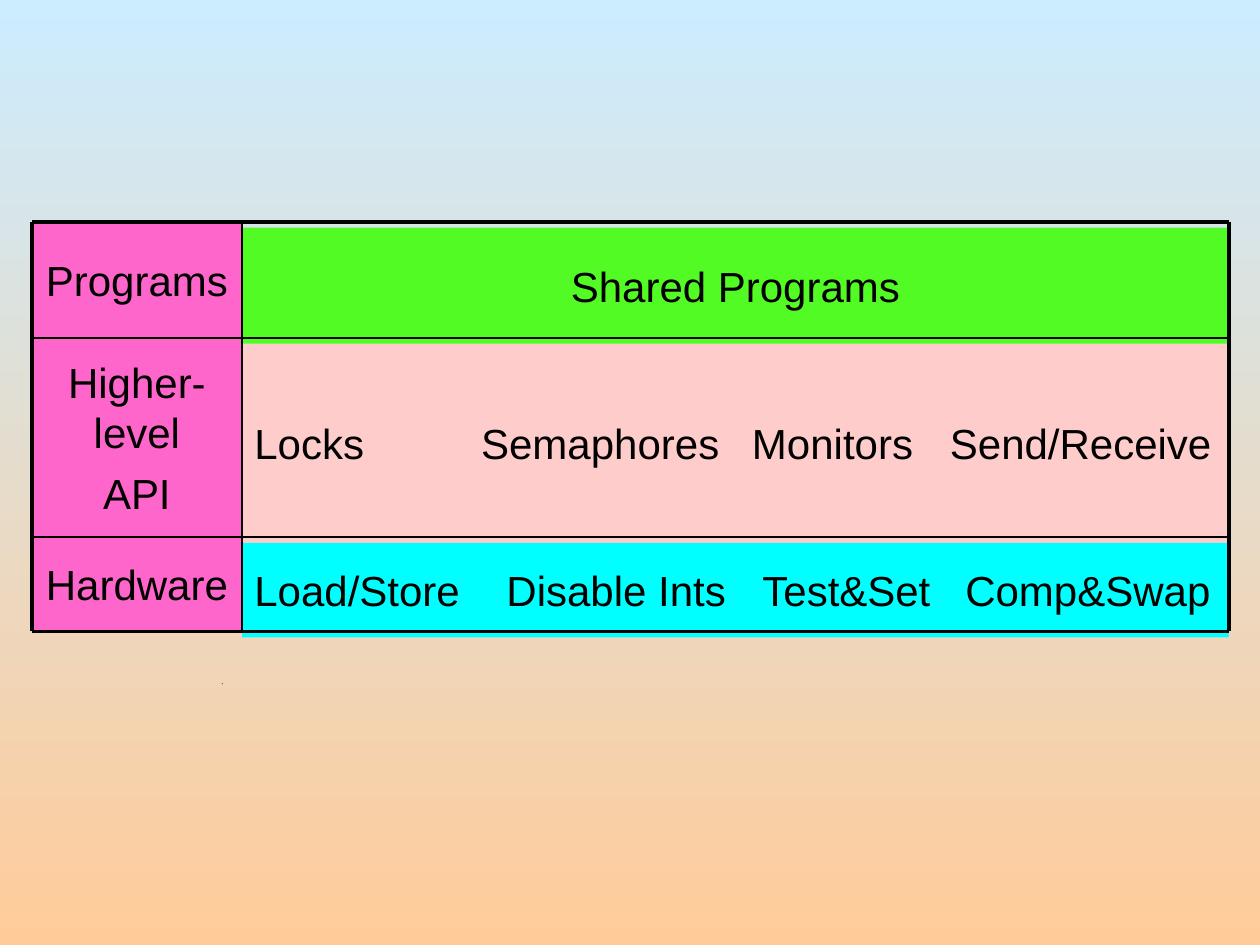
from itertools import pairwise

from lxml.etree import SubElement
from pptx import Presentation
from pptx.dml.color import RGBColor
from pptx.enum.shapes import MSO_CONNECTOR, MSO_SHAPE
from pptx.enum.text import MSO_ANCHOR, PP_ALIGN
from pptx.oxml.ns import qn
from pptx.util import Cm, Pt

BLACK = RGBColor(0x00, 0x00, 0x00)
SKY = RGBColor(0xCC, 0xEC, 0xFF)
SAND = RGBColor(0xFF, 0xCC, 0x99)
MAGENTA = RGBColor(0xFF, 0x66, 0xCC)
GREEN = RGBColor(0x53, 0xFB, 0x25)
PINK = RGBColor(0xFF, 0xCC, 0xCC)
CYAN = RGBColor(0x00, 0xFF, 0xFF)

COLUMN_EDGES = (0.64, 4.88, 24.77)
ROW_EDGES = (4.47, 6.81, 10.82, 12.73)
CONTENT_DROP = 0.12  # the content column sits slightly below the grid

# label, content, content colour, tab stops in cm
LAYERS = (
    ("Programs", "Shared Programs", GREEN, ()),
    ("Higher-level\nAPI", "Locks\tSemaphores\tMonitors\tSend/Receive", PINK,
     (4.57, 10.03, 14.02)),
    ("Hardware", "Load/Store\tDisable Ints\tTest&Set\tComp&Swap", CYAN,
     (5.08, 10.24, 14.33)),
)


class SlideBuilder:
    font = "Arial"
    size = Pt(24)
    color = BLACK

    def __init__(self, slide):
        self.slide = slide

    def background(self, top, bottom):
        fill = self.slide.background.fill
        fill.gradient()
        fill.gradient_angle = 270
        for stop, color, position in zip(fill.gradient_stops, (top, bottom), (0, 1)):
            stop.color.rgb = color
            stop.position = position

    def block(self, left, top, width, height, text, fill, tabs=()):
        sp = self.slide.shapes.add_shape(
            MSO_SHAPE.RECTANGLE, Cm(left), Cm(top), Cm(width), Cm(height))
        sp.shadow.inherit = False
        sp.fill.solid()
        sp.fill.fore_color.rgb = fill
        sp.line.fill.background()
        tf = sp.text_frame
        tf.word_wrap = True
        tf.vertical_anchor = MSO_ANCHOR.MIDDLE
        if tabs:
            tf.margin_right = Cm(0.1)
        tf.text = text
        for i, p in enumerate(tf.paragraphs):
            p.alignment = PP_ALIGN.LEFT if tabs else PP_ALIGN.CENTER
            if i:
                p.space_before = Pt(6)
            if tabs:
                self.tab_stops(p, tabs)
            for r in p.runs:
                r.font.name = self.font
                r.font.size = self.size
                r.font.color.rgb = self.color

    def tab_stops(self, p, stops):
        tab_list = SubElement(p._p.get_or_add_pPr(), qn("a:tabLst"))
        for stop in stops:
            SubElement(tab_list, qn("a:tab"), pos=str(Cm(stop)), algn="l")

    def line(self, x1, y1, x2, y2, width):
        cxn = self.slide.shapes.add_connector(
            MSO_CONNECTOR.STRAIGHT, Cm(x1), Cm(y1), Cm(x2), Cm(y2))
        cxn.line.color.rgb = self.color
        cxn.line.width = Pt(width)
        SubElement(cxn._element.spPr, qn("a:effectLst"))

    def speck(self, x, y, size):
        builder = self.slide.shapes.build_freeform(Cm(x), Cm(y))
        builder.add_line_segments([(Cm(x + size), Cm(y - size)), (Cm(x + size), Cm(y))])
        sp = builder.convert_to_shape()
        sp.shadow.inherit = False
        sp.fill.solid()
        sp.fill.fore_color.rgb = self.color
        sp.line.fill.background()


def main():
    prs = Presentation()
    prs.slide_width, prs.slide_height = Cm(25.4), Cm(19.05)
    builder = SlideBuilder(prs.slides.add_slide(prs.slide_layouts[6]))
    builder.background(SKY, SAND)
    builder.speck(4.47, 13.79, 0.02)

    left, divider, right = COLUMN_EDGES
    top, bottom = ROW_EDGES[0], ROW_EDGES[-1]
    rows = list(zip(pairwise(ROW_EDGES), LAYERS))
    for (y1, y2), (label, content, color, tabs) in reversed(rows):
        builder.block(divider, y1 + CONTENT_DROP, right - divider, y2 - y1,
                      content, color, tabs)
        builder.block(left, y1, divider - left, y2 - y1, label, MAGENTA)

    for y in ROW_EDGES:
        builder.line(left, y, right, y, 2.25 if y in (top, bottom) else 1)
    for x in COLUMN_EDGES:
        builder.line(x, top, x, bottom, 2.25 if x in (left, right) else 1)

    prs.save("out.pptx")


if __name__ == "__main__":
    main()
